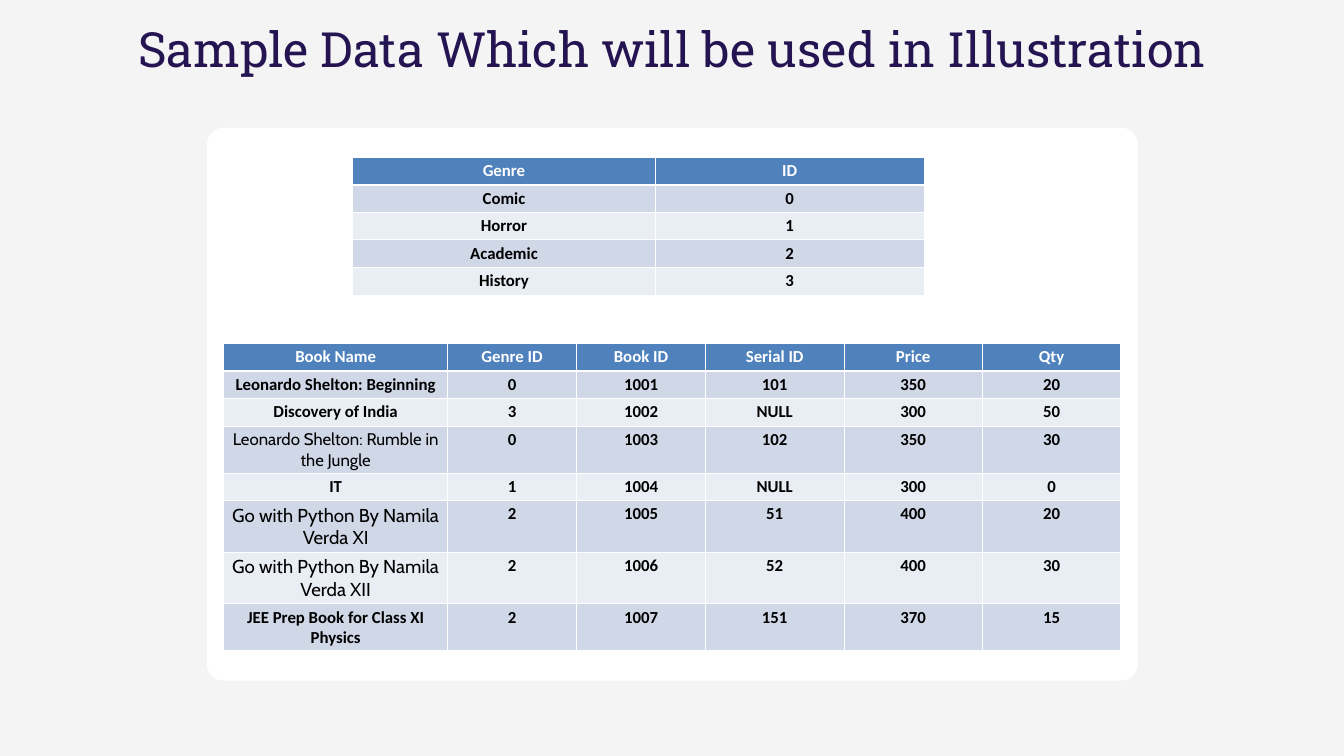
from dataclasses import dataclass

from lxml import etree
from pptx import Presentation
from pptx.dml.color import RGBColor
from pptx.enum.shapes import MSO_SHAPE
from pptx.enum.text import MSO_AUTO_SIZE, PP_ALIGN
from pptx.oxml.ns import qn
from pptx.util import Inches, Pt

CENTER = PP_ALIGN.CENTER
ROUNDED = MSO_SHAPE.ROUNDED_RECTANGLE


@dataclass(frozen=True)
class Theme:
    background: RGBColor = RGBColor.from_string("F4F4F4")
    white: RGBColor = RGBColor.from_string("FFFFFF")
    title: RGBColor = RGBColor.from_string("241452")
    body: RGBColor = RGBColor.from_string("000000")
    header: RGBColor = RGBColor.from_string("4F81BD")
    bands: tuple = (RGBColor.from_string("E9EDF4"), RGBColor.from_string("D0D8E8"))
    title_font: str = "Roboto Slab"
    table_font: str = "Calibri"
    plain_font: str = "Cabin"
    title_size: Pt = Pt(52)
    table_size: Pt = Pt(18)
    large_size: Pt = Pt(20)
    header_rule: Pt = Pt(3)


THEME = Theme()
ROW_HEIGHT = 0.41

GENRES = [
    ("Genre", "ID"),
    ("Comic", "0"),
    ("Horror", "1"),
    ("Academic", "2"),
    ("History", "3"),
]
BOOKS = [
    ("Book Name", "Genre ID", "Book ID", "Serial ID", "Price", "Qty"),
    ("Leonardo Shelton: Beginning", "0", "1001", "101", "350", "20"),
    ("Discovery of India", "3", "1002", "NULL", "300", "50"),
    ("Leonardo Shelton: Rumble in the Jungle", "0", "1003", "102", "350", "30"),
    ("IT", "1", "1004", "NULL", "300", "0"),
    ("Go with Python By Namila Verda XI", "2", "1005", "51", "400", "20"),
    ("Go with Python By Namila Verda XII", "2", "1006", "52", "400", "30"),
    ("JEE Prep Book for Class XI Physics", "2", "1007", "151", "370", "15"),
]
# Book names set in the plain font, by row, with their size
PLAIN_NAMES = {3: THEME.table_size, 5: THEME.large_size, 6: THEME.large_size}


def add_rule_below(cell):
    """Give a header cell its thick white bottom border."""
    border = etree.Element(qn("a:lnB"), w=str(THEME.header_rule))
    fill = etree.SubElement(border, qn("a:solidFill"))
    etree.SubElement(fill, qn("a:srgbClr"), val=str(THEME.white))
    cell._tc.get_or_add_tcPr().insert(0, border)


def add_data_table(slide, left, top, widths, rows):
    """Add a centred, banded table whose first row is the header."""
    table = slide.shapes.add_table(
        len(rows), len(widths), Inches(left), Inches(top),
        Inches(sum(widths)), Inches(ROW_HEIGHT * len(rows))).table
    for column, width in zip(table.columns, widths):
        column.width = Inches(width)
    for r, values in enumerate(rows):
        table.rows[r].height = Inches(ROW_HEIGHT)
        for c, value in enumerate(values):
            cell = table.cell(r, c)
            cell.fill.solid()
            cell.fill.fore_color.rgb = THEME.bands[r % 2] if r else THEME.header
            if r == 0:
                add_rule_below(cell)
            cell.text = value
            paragraph = cell.text_frame.paragraphs[0]
            paragraph.alignment = CENTER
            font = paragraph.runs[0].font  # table style overrides paragraph fonts
            font.name = THEME.table_font
            font.size = THEME.table_size
            font.bold = True
            font.color.rgb = THEME.body if r else THEME.white
    return table


prs = Presentation()
prs.slide_width = Inches(20)
prs.slide_height = Inches(11.25)
slide = prs.slides.add_slide(prs.slide_layouts[6])
slide.background.fill.solid()
slide.background.fill.fore_color.rgb = THEME.background

# Title
title_box = slide.shapes.add_textbox(
    Inches(1.25), Inches(0.28), Inches(17.51), Inches(0.87))
title_frame = title_box.text_frame
title_frame.word_wrap = True
title_frame.auto_size = MSO_AUTO_SIZE.SHAPE_TO_FIT_TEXT
title_frame.margin_left = title_frame.margin_right = 0
title_frame.margin_top = title_frame.margin_bottom = 0
title = title_frame.paragraphs[0]
title.text = "Sample Data Which will be used in Illustration"
title.alignment = CENTER
title.line_spacing = Pt(62.4)
title.font.name = THEME.title_font
title.font.size = THEME.title_size
title.font.color.rgb = THEME.title

# White card behind the tables
card = slide.shapes.add_shape(
    ROUNDED, Inches(3.08), Inches(1.9), Inches(13.85), Inches(8.23))
card.adjustments[0] = 0.03
card.shadow.inherit = False
card.fill.solid()
card.fill.fore_color.rgb = THEME.white
card.line.fill.background()

# Tables
add_data_table(slide, 5.25, 2.34, [4.5, 4], GENRES)
books = add_data_table(slide, 3.33, 5.11, [3.33] + [1.92] * 2 + [2.06] * 3, BOOKS)
for row, size in PLAIN_NAMES.items():
    name_font = books.cell(row, 0).text_frame.paragraphs[0].runs[0].font
    name_font.name = THEME.plain_font
    name_font.size = size
    name_font.bold = False

prs.save("out.pptx")
